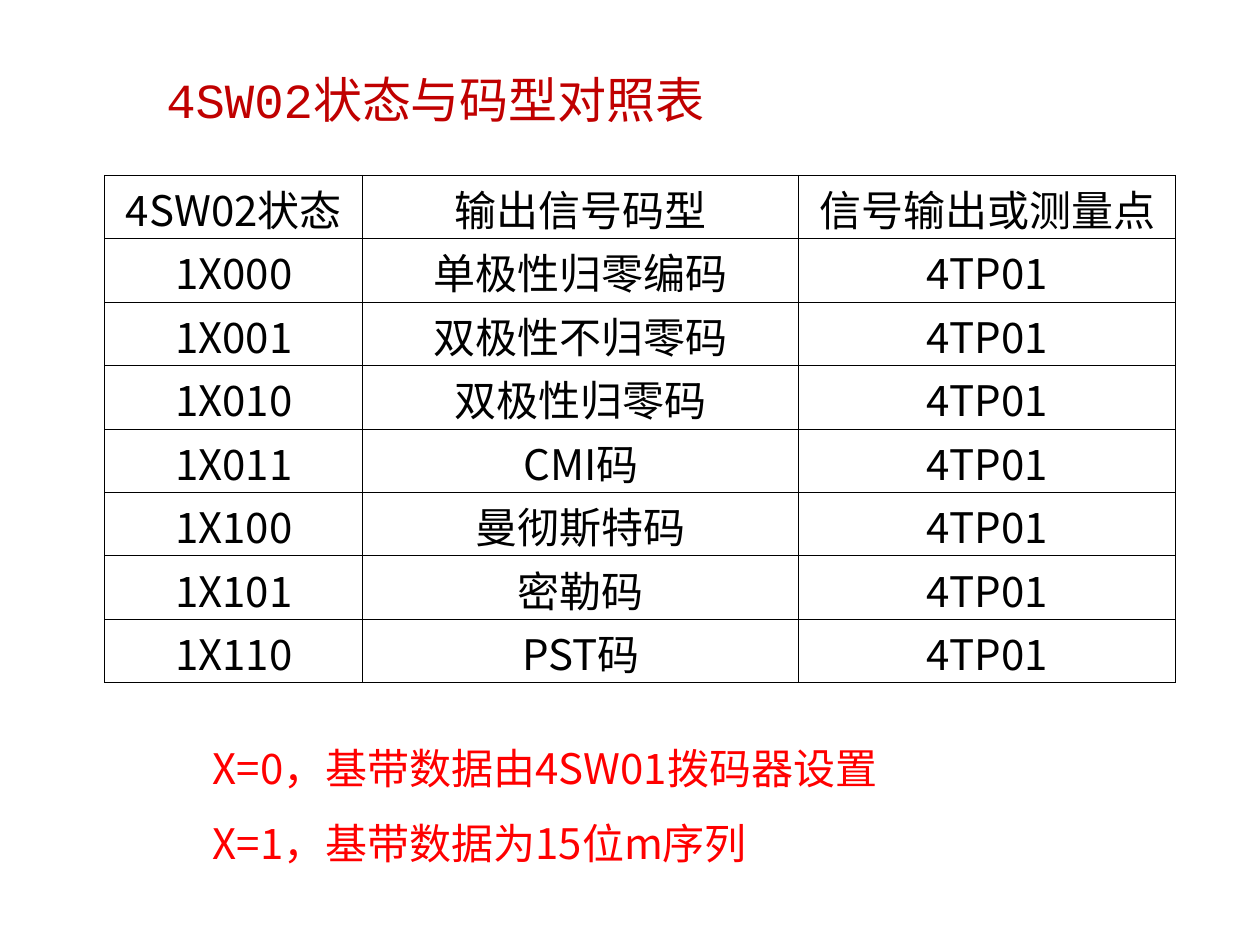
from lxml.etree import SubElement
from pptx import Presentation
from pptx.dml.color import RGBColor
from pptx.enum.text import MSO_ANCHOR as Anchor, MSO_AUTO_SIZE as AutoSize, PP_ALIGN as Align
from pptx.oxml.ns import qn
from pptx.util import Inches, Pt

COLORS = {"title": "C00000", "table": "000000", "note": "FF0000"}
CJK_FONT = "Noto Sans CJK SC"
FORMATS = {
    "title": {"name": "Courier New", "size": Pt(28), "bold": False},
    "table": {"name": CJK_FONT, "size": Pt(24), "bold": False},
    "note": {"name": CJK_FONT, "size": Pt(24), "bold": False},
}
HEADERS = ["4SW02状态", "输出信号码型", "信号输出或测量点"]
CODE_TYPES = ["单极性归零编码", "双极性不归零码", "双极性归零码",
              "CMI码", "曼彻斯特码", "密勒码", "PST码"]
TEST_POINT = "4TP01"
NOTES = ["X=0，基带数据由4SW01拨码器设置", "X=1，基带数据为15位m序列"]
COLUMN_WIDTHS = [2.05, 3.46, 2.99]
ROW_HEIGHT = 0.5


def write_text(paragraph, text, role, align=Align.LEFT):
    paragraph.alignment = align
    run = paragraph.add_run()
    run.text = text
    for name, value in FORMATS[role].items():
        setattr(run.font, name, value)
    run.font.color.rgb = RGBColor.from_string(COLORS[role])
    SubElement(run.font._element, qn("a:ea"), typeface=CJK_FONT)


def add_title(slide, text):
    title = slide.shapes.title
    title.left, title.top = Inches(1.22), Inches(0.52)
    title.width, title.height = Inches(7.16), Inches(1.04)
    frame = title.text_frame
    frame.vertical_anchor = Anchor.TOP
    frame.margin_top = Inches(0.03)
    write_text(frame.paragraphs[0], text, "title")


def set_borders(cell):
    properties = cell._tc.get_or_add_tcPr()
    for side in ("a:lnL", "a:lnR", "a:lnT", "a:lnB"):
        line = SubElement(properties, qn(side), w=str(Pt(0.45)))
        fill = SubElement(line, qn("a:solidFill"))
        SubElement(fill, qn("a:srgbClr"), val=COLORS["table"])


def add_code_table(slide, rows):
    frame = slide.shapes.add_table(
        len(rows), len(COLUMN_WIDTHS), Inches(0.83), Inches(1.39),
        Inches(sum(COLUMN_WIDTHS)), Inches(ROW_HEIGHT * len(rows)))
    table = frame.table
    table.first_row = table.horz_banding = False
    for column, width in zip(table.columns, COLUMN_WIDTHS):
        column.width = Inches(width)
    for row, texts in zip(table.rows, rows):
        row.height = Inches(ROW_HEIGHT)
        for cell, text in zip(row.cells, texts):
            # Tight margins keep the tall glyphs inside the row
            cell.margin_top, cell.margin_bottom = Inches(0.02), 0
            set_borders(cell)
            cell.fill.background()
            write_text(cell.text_frame.paragraphs[0], text, "table", Align.CENTER)


def add_notes_box(slide, lines):
    box = slide.shapes.add_textbox(Inches(1.59), Inches(5.64), Inches(5.75), Inches(1.3))
    frame = box.text_frame
    frame.word_wrap = False
    frame.auto_size = AutoSize.SHAPE_TO_FIT_TEXT
    for index, line in enumerate(lines):
        paragraph = frame.add_paragraph() if index else frame.paragraphs[0]
        paragraph.line_spacing = 1.5
        write_text(paragraph, line, "note")


def main():
    presentation = Presentation()
    presentation.slide_width, presentation.slide_height = Inches(10), Inches(7.5)
    slide = presentation.slides.add_slide(presentation.slide_layouts[5])

    # Title
    add_title(slide, "4SW02状态与码型对照表")

    # Switch states count up in binary
    states = [[f"1X{number:03b}", code, TEST_POINT]
              for number, code in enumerate(CODE_TYPES)]
    add_code_table(slide, [HEADERS, *states])

    # Meaning of X
    add_notes_box(slide, NOTES)

    presentation.save("out.pptx")


if __name__ == "__main__":
    main()
